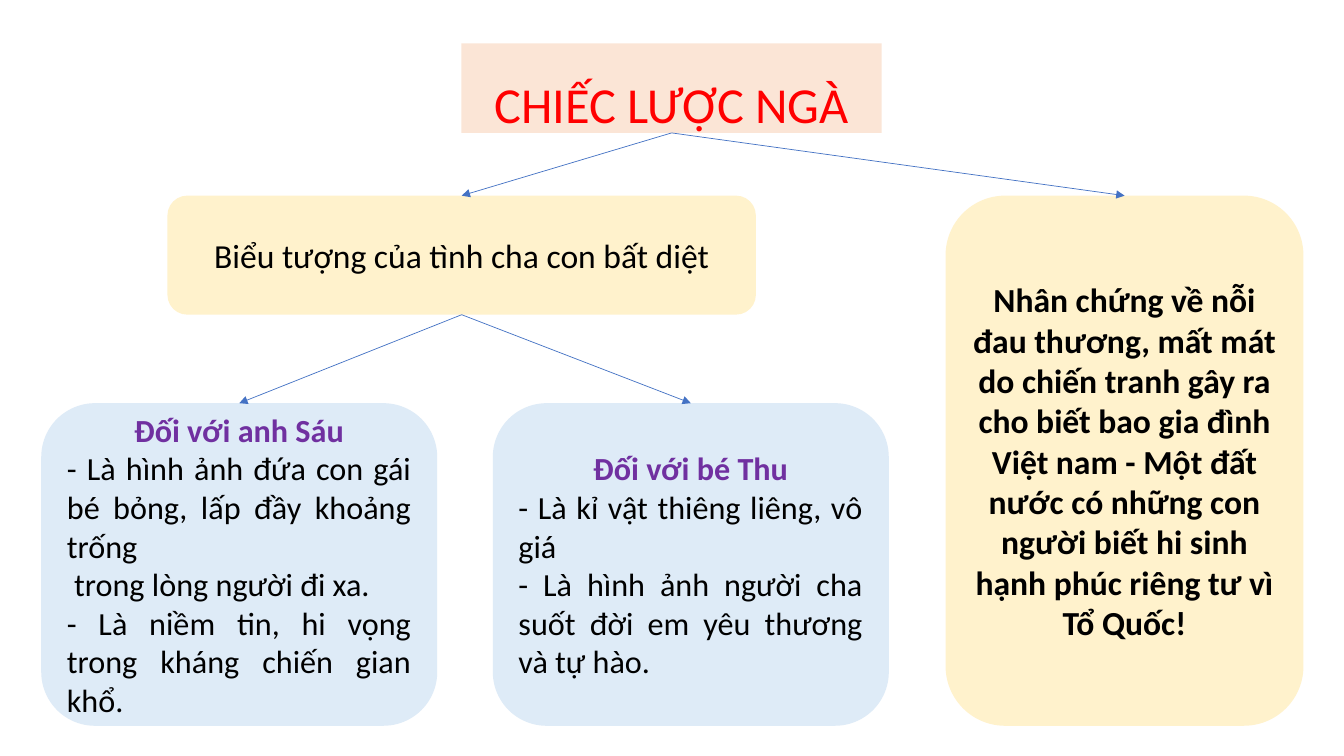
from lxml.etree import SubElement
from pptx import Presentation
from pptx.dml.color import RGBColor
from pptx.enum.shapes import MSO_CONNECTOR as Connector, MSO_SHAPE as Shape
from pptx.enum.text import MSO_ANCHOR as Anchor, MSO_AUTO_SIZE as AutoSize, PP_ALIGN as Align
from pptx.oxml.ns import qn
from pptx.util import Cm, Pt

COLORS = {
    "peach": "FBE5D6",
    "cream": "FFF2CC",
    "sky": "DEEBF7",
    "red": "FF0000",
    "black": "000000",
    "purple": "7030A0",
    "arrow": "4472C4",
}
TOP_SITE, BOTTOM_SITE = 0, 2


def color(name):
    return RGBColor.from_string(COLORS[name])


class ConceptMap:
    font_name = "Calibri"

    def __init__(self, page):
        self.page = page

    def paint(self, box, fill):
        box.fill.solid()
        box.fill.fore_color.rgb = color(fill)
        box.line.fill.background()
        frame = box.text_frame
        frame.word_wrap = True
        frame.auto_size = AutoSize.NONE
        frame.vertical_anchor = Anchor.MIDDLE

    def set_text(self, para, text, size, ink="black", bold=False, align=Align.CENTER):
        para.text = text
        para.alignment = align
        para.font.name = self.font_name
        para.font.size = Pt(size)
        para.font.bold = bold
        para.font.color.rgb = color(ink)

    def title(self, text, left, top, width, height):
        box = self.page.shapes.title
        box.left, box.top, box.width, box.height = map(Cm, (left, top, width, height))
        outline = SubElement(box.element.spPr, qn("a:prstGeom"), prst="roundRect")
        SubElement(outline, qn("a:avLst"))
        self.paint(box, "peach")
        para = box.text_frame.paragraphs[0]
        self.set_text(para, text, 36, "red")
        para.line_spacing = 1.5
        return box

    def box(self, fill, left, top, width, height):
        box = self.page.shapes.add_shape(
            Shape.ROUNDED_RECTANGLE, Cm(left), Cm(top), Cm(width), Cm(height))
        box.shadow.inherit = False
        self.paint(box, fill)
        return box

    def idea(self, text, left, top, width, height, bold=False):
        box = self.box("cream", left, top, width, height)
        self.set_text(box.text_frame.paragraphs[0], text, 24, bold=bold)
        return box

    def detail(self, heading, points, left, top, width, height):
        box = self.box("sky", left, top, width, height)
        frame = box.text_frame
        self.set_text(frame.paragraphs[0], heading, 23, "purple", bold=True)
        for point in points:
            self.set_text(frame.add_paragraph(), point, 23, align=Align.JUSTIFY)
        return box

    def arrow(self, parent, child):
        arrow = self.page.shapes.add_connector(Connector.STRAIGHT, 0, 0, 0, 0)
        arrow.begin_connect(parent, BOTTOM_SITE)
        arrow.end_connect(child, TOP_SITE)
        arrow.line.color.rgb = color("arrow")
        arrow.line.width = Pt(0.5)
        properties = arrow.element.spPr
        SubElement(properties.find(qn("a:ln")), qn("a:tailEnd"), type="triangle")
        SubElement(properties, qn("a:effectLst"))


def main():
    deck = Presentation()
    deck.slide_width, deck.slide_height = Cm(33.87), Cm(19.05)
    concept_map = ConceptMap(deck.slides.add_slide(deck.slide_layouts[5]))

    title = concept_map.title("CHIẾC LƯỢC NGÀ", 11.63, 1.09, 10.59, 2.26)
    symbol = concept_map.idea(
        "Biểu tượng của tình cha con bất diệt", 4.22, 4.93, 14.83, 3)
    witness = concept_map.idea(
        "Nhân chứng về nỗi đau thương, mất mát do chiến tranh gây ra cho biết bao "
        "gia đình Việt nam - Một đất nước có những con người biết hi sinh hạnh phúc "
        "riêng tư vì Tổ Quốc!", 23.83, 4.93, 9.02, 13.36, bold=True)
    father = concept_map.detail("Đối với anh Sáu", [
        "- Là hình ảnh đứa con gái bé bỏng, lấp đầy khoảng trống",
        " trong lòng người đi xa.",
        "- Là niềm tin, hi vọng trong kháng chiến gian khổ.",
    ], 1.04, 10.16, 9.98, 8.13)
    daughter = concept_map.detail("Đối với bé Thu", [
        "- Là kỉ vật thiêng liêng, vô giá",
        "- Là hình ảnh người cha suốt đời em yêu thương và tự hào.",
    ], 12.42, 10.16, 9.98, 8.13)

    for parent, child in [(title, symbol), (title, witness),
                          (symbol, father), (symbol, daughter)]:
        concept_map.arrow(parent, child)

    deck.save("out.pptx")


if __name__ == "__main__":
    main()
